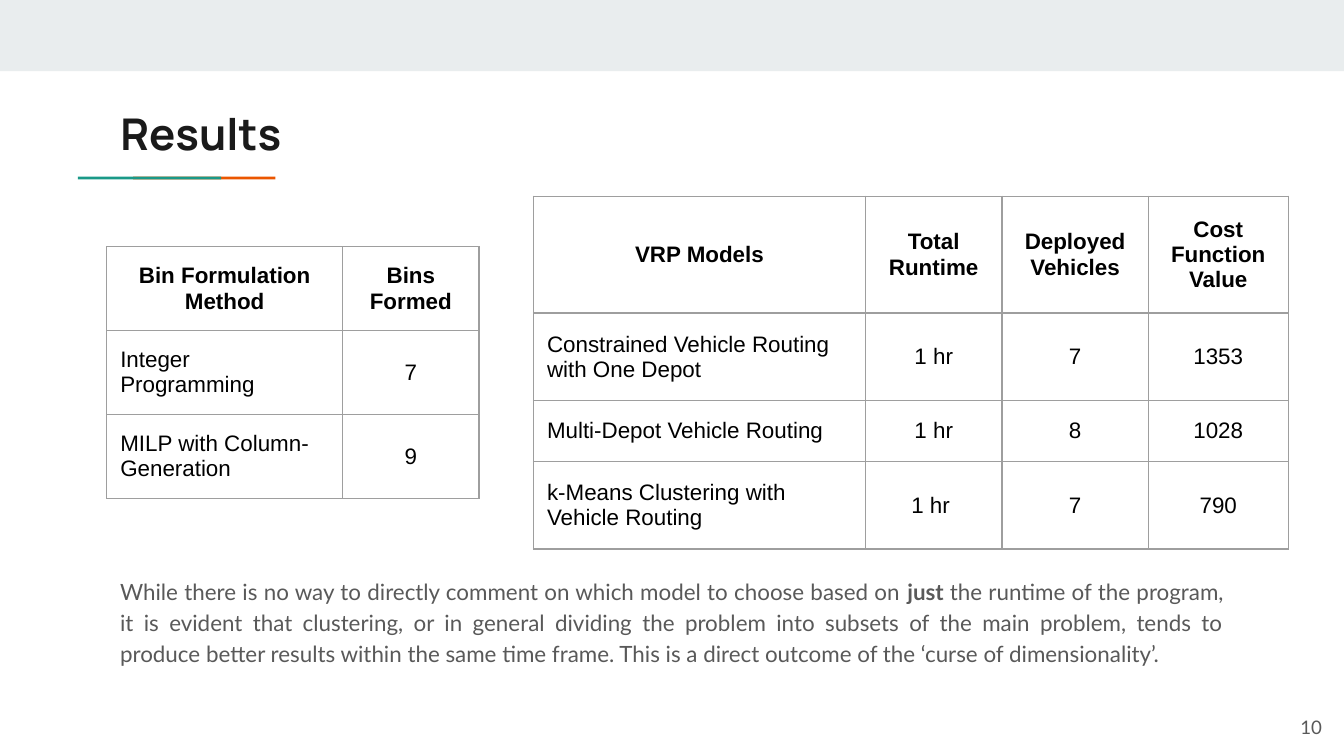
import pptx
import pptx.util
import pptx.dml.color
import pptx.enum.shapes
import pptx.enum.text
import pptx.oxml
import pptx.oxml.ns

PX = 4572  # EMU per px, 200 px to the inch
INSET = 20 * PX
ALIGN = pptx.enum.text.PP_ALIGN
ANCHOR = pptx.enum.text.MSO_ANCHOR

THEME = {
    "band": "E9EDEE", "orange": "EB5600", "teal": "1A9988",
    "title": "1A1A1A", "body": "595959", "cell": "000000", "border": "9E9E9E",
    "title_font": "Manrope", "body_font": "Lato", "table_font": "Arial",
    "title_size": 23.4, "text_size": 12, "number_size": 10, "border_width": 0.75,
}


def add_run(p, text, kind, font, size, bold=False):
    r = p.add_run()
    r.text = text
    r.font.name = THEME[font]
    r.font.size = pptx.util.Pt(THEME[size])
    r.font.bold = bold
    r.font.color.rgb = pptx.dml.color.RGBColor.from_string(THEME[kind])


def set_frame(tf, anchor):
    tf.word_wrap = True
    tf.auto_size = pptx.enum.text.MSO_AUTO_SIZE.NONE
    tf.vertical_anchor = anchor
    tf.margin_left = tf.margin_right = tf.margin_top = tf.margin_bottom = INSET


prs = pptx.Presentation()
prs.slide_width, prs.slide_height = 2000 * PX, 1125 * PX
s = prs.slides.add_slide(prs.slide_layouts[5])

# Top band and two-colour rule under the title
for colour, x, y, w, h in [
    ("band", 0, 0, 2000, 106),
    ("orange", 198, 263, 212, 4),
    ("teal", 116, 263, 213, 4),
]:
    sp = s.shapes.add_shape(pptx.enum.shapes.MSO_SHAPE.RECTANGLE,
                            x * PX, y * PX, w * PX, h * PX)
    sp.shadow.inherit = False
    sp.fill.solid()
    sp.fill.fore_color.rgb = pptx.dml.color.RGBColor.from_string(THEME[colour])
    sp.line.fill.background()

# Title
title = s.shapes.title
title.left, title.top, title.width, title.height = 159 * PX, 139 * PX, 1682 * PX, 118 * PX
set_frame(title.text_frame, ANCHOR.TOP)
p = title.text_frame.paragraphs[0]
p.alignment = ALIGN.LEFT
add_run(p, "Results", "title", "title_font", "title_size", True)

# Result tables: position, column widths, row heights, rows of text
tables = [
    (794, 292, [494, 203, 218, 208], [174, 130, 91, 130], [
        ["VRP Models", "Total Runtime", "Deployed Vehicles", "Cost Function Value"],
        ["Constrained Vehicle Routing with One Depot", "1 hr", "7", "1353"],
        ["Multi-Depot Vehicle Routing", "1 hr", "8", "1028"],
        ["k-Means Clustering with Vehicle Routing", "1 hr ", "7", "790"],
    ]),
    (159, 367, [351, 203], [125, 125, 125], [
        ["Bin Formulation Method", "Bins Formed"],
        ["Integer Programming", "7"],
        ["MILP with Column-Generation", "9"],
    ]),
]
for x, y, widths, heights, rows in tables:
    table = s.shapes.add_table(len(heights), len(widths), x * PX, y * PX,
                               sum(widths) * PX, sum(heights) * PX).table
    table.horz_banding = False
    for column, w in zip(table.columns, widths):
        column.width = w * PX
    for i, (row, h, texts) in enumerate(zip(table.rows, heights, rows)):
        row.height = h * PX
        for j, (cell, text) in enumerate(zip(row.cells, texts)):
            cell.vertical_anchor = ANCHOR.MIDDLE
            cell.margin_left = cell.margin_right = INSET
            cell.margin_top = cell.margin_bottom = INSET
            p = cell.text_frame.paragraphs[0]
            p.alignment = ALIGN.LEFT if i and not j else ALIGN.CENTER
            add_run(p, text, "cell", "table_font", "text_size", i == 0)
            # Borders come before the fill in the cell properties
            for side in ("lnL", "lnR", "lnT", "lnB"):
                cell._tc.get_or_add_tcPr().append(pptx.oxml.parse_xml(
                    f'<a:{side} {pptx.oxml.ns.nsdecls("a")} '
                    f'w="{pptx.util.Pt(THEME["border_width"])}"><a:solidFill>'
                    f'<a:srgbClr val="{THEME["border"]}"/></a:solidFill></a:{side}>'))
            cell.fill.background()

# Conclusion
tf = s.shapes.add_textbox(159 * PX, 834 * PX, 1682 * PX, 190 * PX).text_frame
set_frame(tf, ANCHOR.TOP)
p = tf.paragraphs[0]
p.alignment = ALIGN.JUSTIFY
p.line_spacing = 1.15
p.space_after = pptx.util.Pt(12)
for text, bold in [
    ("While there is no way to directly comment on which model to choose based on ", False),
    ("just ", True),
    ("the runtime of the program, it is evident that clustering, or in general "
     "dividing the problem into subsets of the main problem, tends to produce "
     "better results within the same time frame. This is a direct outcome of "
     "the ‘curse of dimensionality’. ", False),
]:
    add_run(p, text, "body", "body_font", "text_size", bold)

# Slide number
tf = s.shapes.add_textbox(1867 * PX, 1039 * PX, 120 * PX, 86 * PX).text_frame
set_frame(tf, ANCHOR.MIDDLE)
p = tf.paragraphs[0]
p.alignment = ALIGN.RIGHT
add_run(p, "10", "body", "body_font", "number_size")

prs.save("out.pptx")
